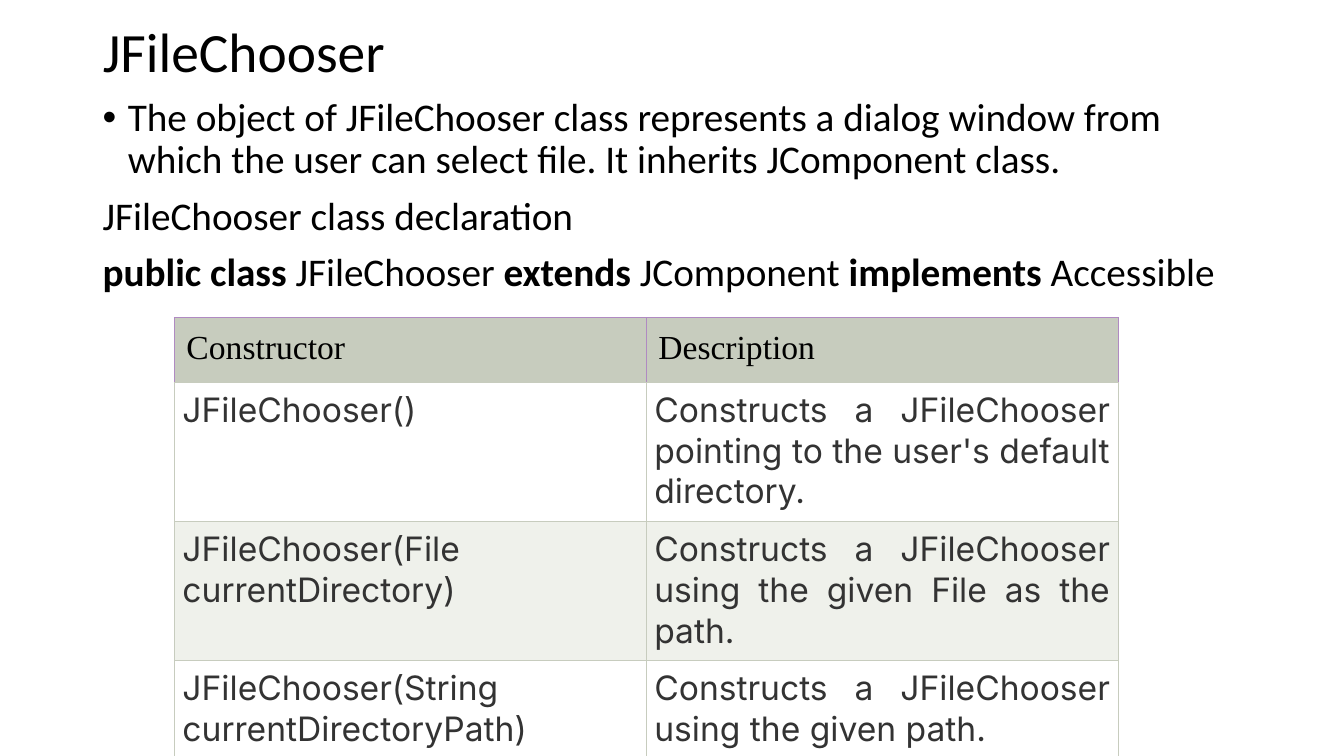
from lxml import etree
from pptx import Presentation
from pptx.dml.color import RGBColor
from pptx.enum.text import MSO_ANCHOR, MSO_AUTO_SIZE, PP_ALIGN
from pptx.oxml.ns import qn
from pptx.util import Inches, Pt

LEFT, JUSTIFY = PP_ALIGN.LEFT, PP_ALIGN.JUSTIFY
MIDDLE, TOP = MSO_ANCHOR.MIDDLE, MSO_ANCHOR.TOP
NO_AUTOFIT = MSO_AUTO_SIZE.NONE
TITLE_ONLY = 5

BLACK, GREY, WHITE = "000000", "333333", "FFFFFF"
SAGE, PALE_SAGE, LILAC = "C7CCBE", "EFF1EB", "B08AC2"

# Each paragraph is a list of (text, bold) spans
BODY = [
    [("The object of JFileChooser class represents a dialog window from "
      "which the user can select file. It inherits JComponent class.", False)],
    [("JFileChooser class declaration", False)],
    [("public class ", True), ("JFileChooser ", False), ("extends ", True),
     ("JComponent ", False), ("implements", True), (" Accessible", False)],
]
CONSTRUCTORS = [
    ("Constructor", "Description"),
    ("JFileChooser()",
     "Constructs a JFileChooser pointing to the user's default directory."),
    ("JFileChooser(File currentDirectory)",
     "Constructs a JFileChooser using the given File as the path."),
    ("JFileChooser(String currentDirectoryPath)",
     "Constructs a JFileChooser using the given path."),
]
ROW_HEIGHTS = [0.61, 1.38, 1.38, 0.97]
COLUMN_WIDTH = 4.68


def colour(value):
    return RGBColor.from_string(value)


def set_font(font, name, size, value):
    font.name = name
    font.size = Pt(size)
    font.color.rgb = colour(value)


def add_bullet(para, indent):
    properties = para._p.get_or_add_pPr()
    properties.set("marL", str(Inches(indent)))
    properties.set("indent", str(-Inches(indent)))
    font = etree.SubElement(properties, qn("a:buFont"))
    font.set("typeface", "Arial")
    etree.SubElement(properties, qn("a:buChar")).set("char", "•")


def place_title(slide, text):
    title = slide.shapes.title
    title.left, title.top = Inches(0.92), Inches(0.16)
    title.width, title.height = Inches(11.5), Inches(0.76)
    frame = title.text_frame
    frame.text = text
    frame.auto_size = NO_AUTOFIT
    frame.vertical_anchor = MIDDLE
    para = frame.paragraphs[0]
    para.alignment = LEFT
    para.line_spacing = 0.9
    set_font(para.font, "Calibri", 39.6, BLACK)


def add_body(slide, paragraphs):
    box = slide.shapes.add_textbox(
        Inches(0.92), Inches(0.92), Inches(11.5), Inches(4.76))
    frame = box.text_frame
    frame.word_wrap = True
    for index, spans in enumerate(paragraphs):
        para = frame.add_paragraph() if index else frame.paragraphs[0]
        para.line_spacing = 0.9
        if index:
            para.space_before = Pt(10)
        else:
            add_bullet(para, 0.25)
        set_font(para.font, "Calibri", 28, BLACK)
        for text, bold in spans:
            span = para.add_run()
            span.text = text
            span.font.bold = bold


def set_borders(cell, side_colour, bottom_colour):
    """Put the four border lines ahead of the cell's fill."""
    properties = cell._tc.get_or_add_tcPr()
    sides = [("a:lnL", side_colour), ("a:lnR", side_colour),
             ("a:lnT", side_colour), ("a:lnB", bottom_colour)]
    for position, (tag, value) in enumerate(sides):
        line = etree.Element(qn(tag), w=str(Pt(0.75)))
        fill = etree.SubElement(line, qn("a:solidFill"))
        etree.SubElement(fill, qn("a:srgbClr")).set("val", value)
        properties.insert(position, line)


def fill_cell(cell, text, row):
    header = row == 0
    cell.text = text
    cell.vertical_anchor = TOP
    margin = Inches(0.12 if header else 0.08)
    cell.margin_left = cell.margin_right = margin
    cell.margin_top = cell.margin_bottom = margin
    para = cell.text_frame.paragraphs[0]
    para.alignment = LEFT if header else JUSTIFY
    if header:
        set_font(para.font, "Times New Roman", 24, BLACK)
        background = SAGE
    else:
        set_font(para.font, "Inter", 24, GREY)
        background = WHITE if row % 2 else PALE_SAGE
    cell.fill.solid()
    cell.fill.fore_color.rgb = colour(background)
    set_borders(cell, LILAC if header else SAGE, SAGE)


def add_constructor_table(slide, rows):
    columns = len(rows[0])
    frame = slide.shapes.add_table(
        len(rows), columns, Inches(1.73), Inches(3.15),
        Inches(COLUMN_WIDTH * columns), Inches(sum(ROW_HEIGHTS)))
    table = frame.table
    table.first_row = table.horz_banding = False
    for column in table.columns:
        column.width = Inches(COLUMN_WIDTH)
    for row, texts in enumerate(rows):
        table.rows[row].height = Inches(ROW_HEIGHTS[row])
        for column, text in enumerate(texts):
            fill_cell(table.cell(row, column), text, row)


def main():
    deck = Presentation()
    deck.slide_width, deck.slide_height = Inches(13.33), Inches(7.5)
    page = deck.slides.add_slide(deck.slide_layouts[TITLE_ONLY])
    # Heading and class declaration
    place_title(page, "JFileChooser")
    add_body(page, BODY)
    # Constructors
    add_constructor_table(page, CONSTRUCTORS)
    deck.save("out.pptx")


if __name__ == "__main__":
    main()
